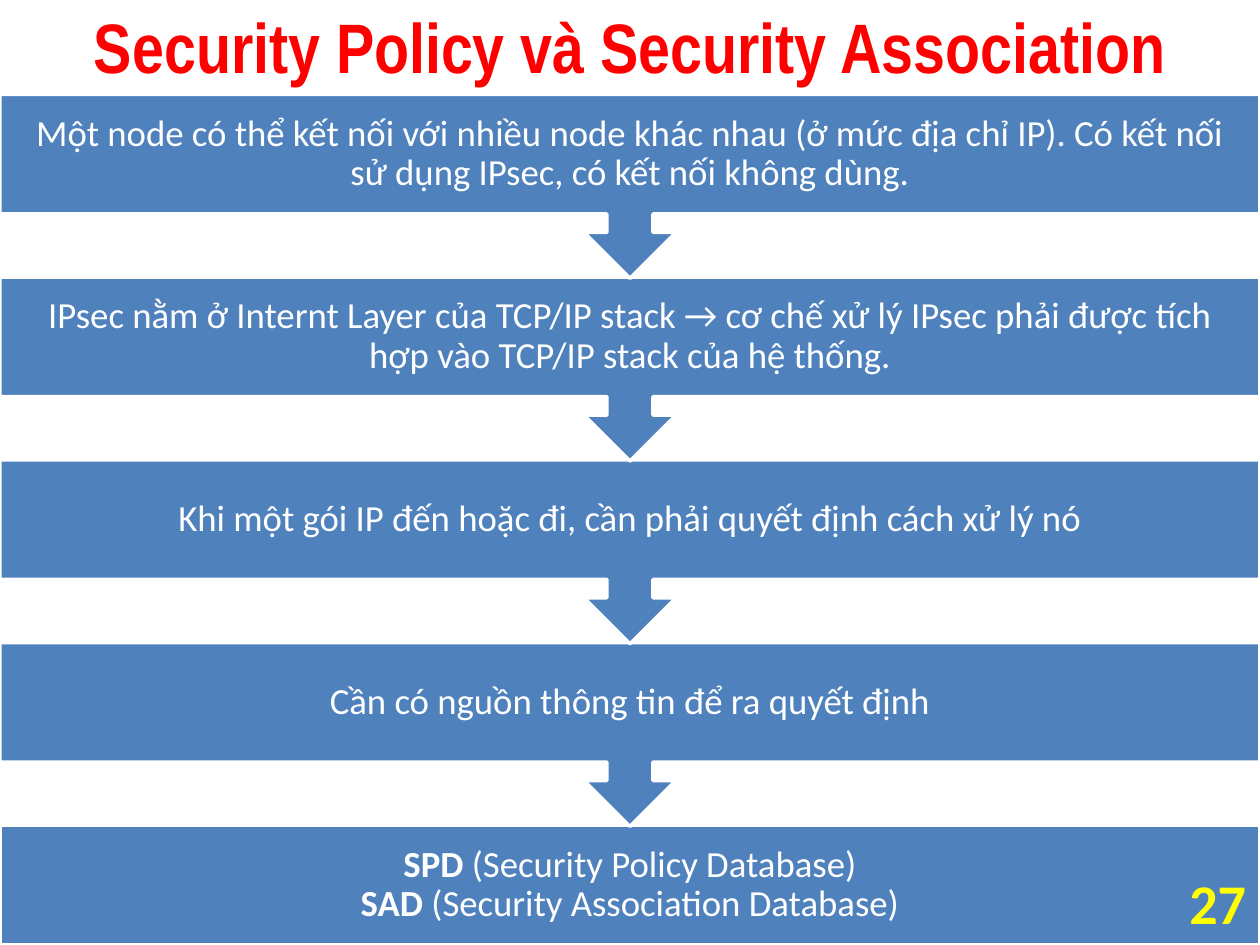
from pptx import Presentation
from pptx.dml.color import RGBColor as RGB
from pptx.enum.shapes import MSO_SHAPE as Shape
from pptx.enum.text import MSO_ANCHOR as Anchor, PP_ALIGN as Align
from pptx.util import Inches, Pt

W, H = 10, 7.5
TOP, PITCH, BODY, CALLOUT = 0.75, 1.45, 0.95, 1.46
COLORS = {"box": "4F81BD", "edge": "FFFFFF", "text": "FFFFFF",
          "title": "FF0000", "number": "FFFF00"}
STEP_FONT = {"name": "Calibri", "size": Pt(21)}
TITLE_FONT = {"name": "Arial Narrow", "size": Pt(40), "bold": True}
NUMBER_FONT = {"name": "Calibri", "size": Pt(32), "bold": True}
STEPS = [
    [[("Một node có thể kết nối với nhiều node khác nhau (ở mức địa chỉ IP). "
       "Có kết nối sử dụng IPsec, có kết nối không dùng.", False)]],
    [[("IPsec nằm ở Internt Layer của TCP/IP stack → cơ chế xử lý IPsec "
       "phải được tích hợp vào TCP/IP stack của hệ thống.", False)]],
    [[("Khi một gói IP đến hoặc đi, cần phải quyết định cách xử lý nó", False)]],
    [[("Cần có nguồn thông tin để ra quyết định", False)]],
    [[("SPD", True), (" (Security Policy Database)", False)],
     [("SAD", True), (" (Security Association Database)", False)]],
]


def format_run(r, font, color):
    """Apply a dict of font values and a named colour to a run."""
    for key, value in font.items():
        setattr(r.font, key, value)
    r.font.color.rgb = RGB.from_string(COLORS[color])


def set_frame(tf, inset_x, inset_y):
    """Wrap and centre a text frame and return its first paragraph."""
    frame = {"word_wrap": True, "vertical_anchor": Anchor.MIDDLE,
             "margin_left": Inches(inset_x), "margin_right": Inches(inset_x),
             "margin_top": Inches(inset_y), "margin_bottom": Inches(inset_y)}
    for key, value in frame.items():
        setattr(tf, key, value)
    p = tf.paragraphs[0]
    p.alignment = Align.CENTER
    return p


def add_label(s, box, text, font, color, insets):
    """Add a text box holding one centred line."""
    tf = s.shapes.add_textbox(*map(Inches, box)).text_frame
    r = set_frame(tf, *insets).add_run()
    r.text = text
    format_run(r, font, color)


def add_step(s, row, lines, is_last):
    """Add one step of the flow, with an arrow below unless it is the last."""
    kind, height = (Shape.RECTANGLE, BODY) if is_last else (Shape.DOWN_ARROW_CALLOUT, CALLOUT)
    sp = s.shapes.add_shape(kind, 0, Inches(TOP + row * PITCH), Inches(W), Inches(height))
    sp.shadow.inherit = False
    sp.fill.solid()
    sp.fill.fore_color.rgb = RGB.from_string(COLORS["box"])
    sp.line.color.rgb = RGB.from_string(COLORS["edge"])
    sp.line.width = Pt(2)
    p = set_frame(sp.text_frame, 0.16, 0.16)
    p.line_spacing = 0.9
    for i, line in enumerate(lines):
        if i:
            p.add_line_break()
        for text, bold in line:
            r = p.add_run()
            r.text = text
            format_run(r, {**STEP_FONT, "bold": bold}, "text")


def main():
    """Build the slide and save it."""
    prs = Presentation()
    prs.slide_width, prs.slide_height = Inches(W), Inches(H)
    s = prs.slides.add_slide(prs.slide_layouts[6])
    last = len(STEPS) - 1
    for row in range(last, -1, -1):
        add_step(s, row, STEPS[row], row == last)
    add_label(s, (0, -0.03, W, 0.78), "Security Policy và Security Association",
              TITLE_FONT, "title", (0.1, 0.05))
    add_label(s, (W - 0.67, H - 0.68, 0.67, 0.68), "27", NUMBER_FONT, "number", (0, 0))
    prs.save("out.pptx")


if __name__ == "__main__":
    main()
